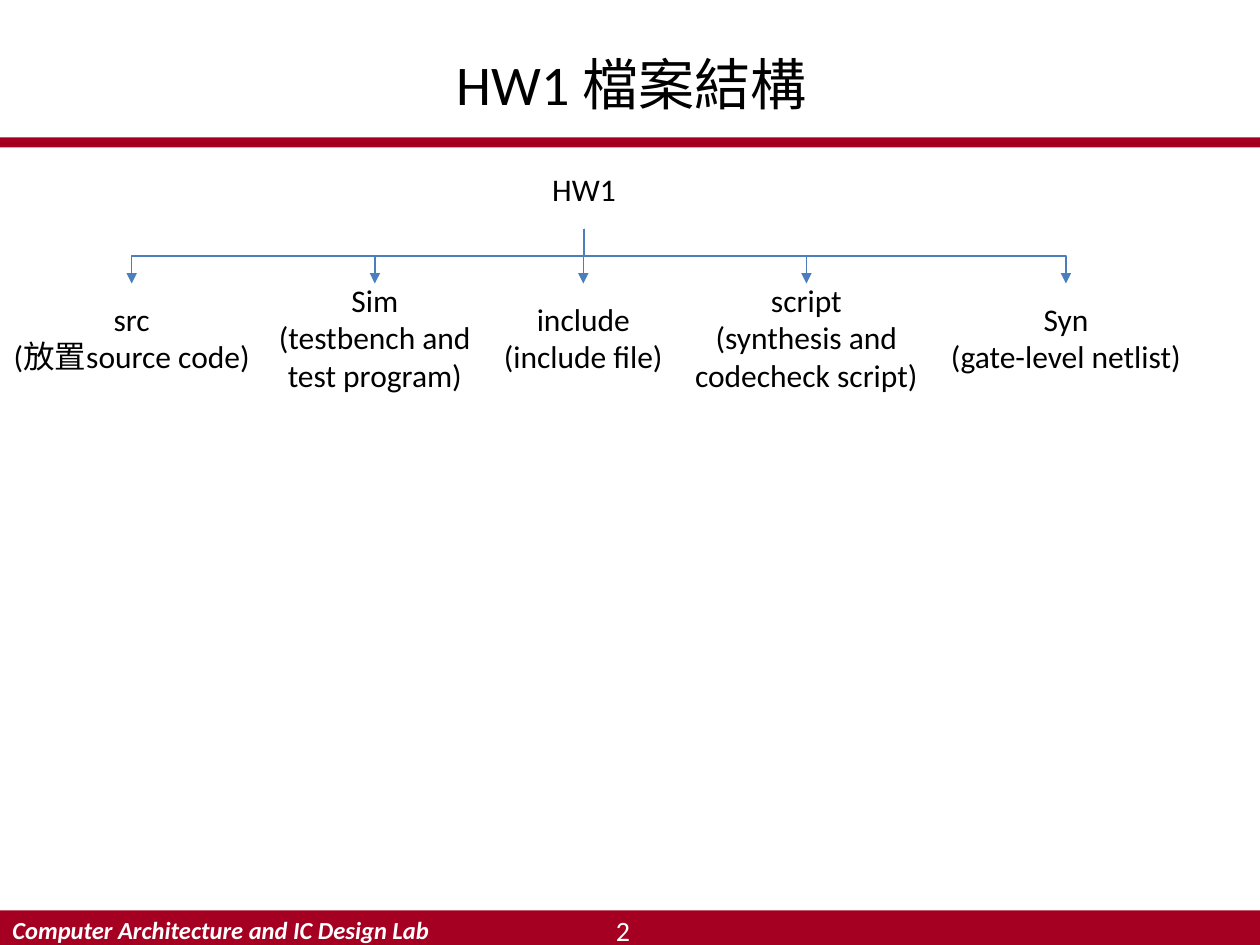
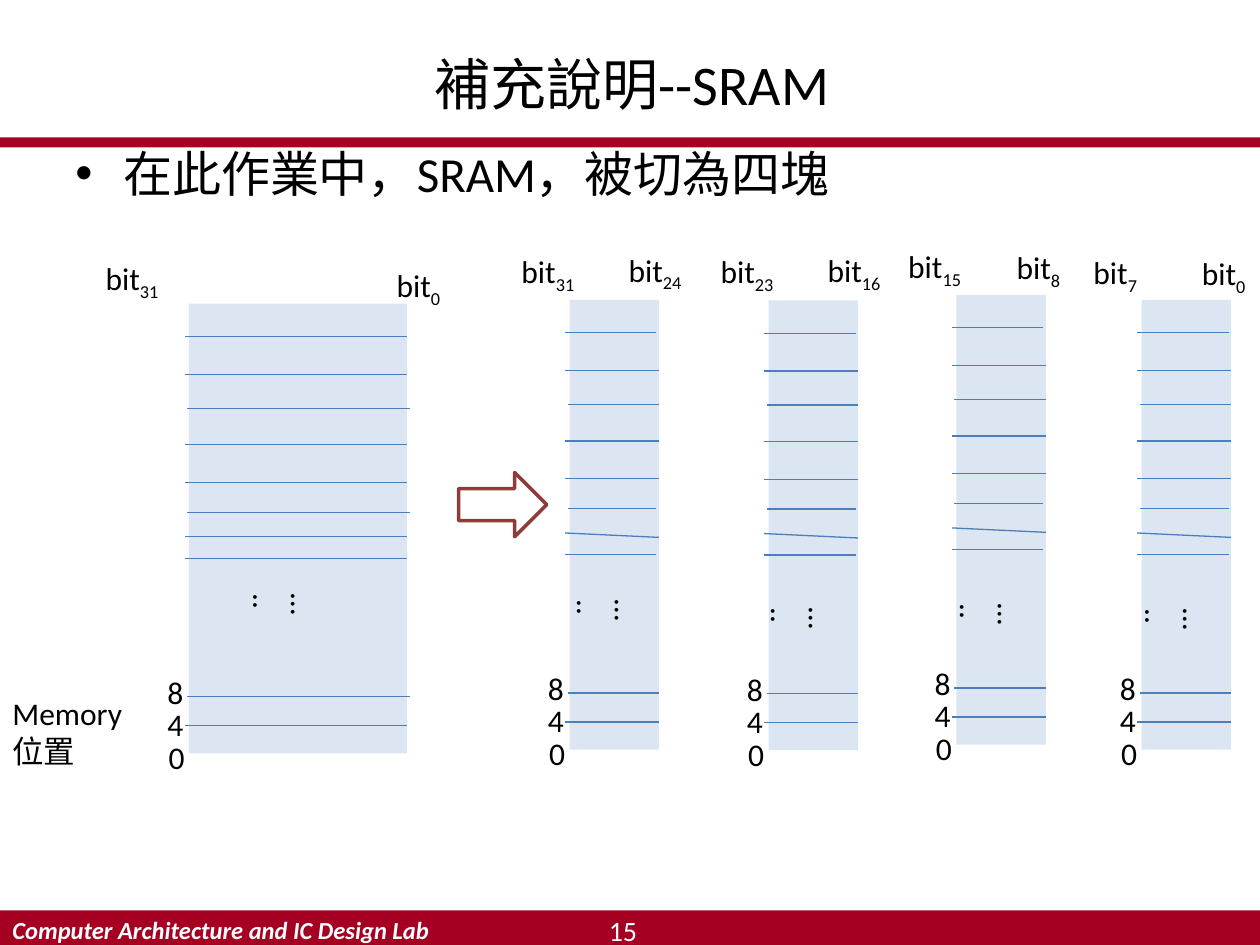
from lxml import etree
from pptx import Presentation
from pptx import util as u
from pptx.dml.color import RGBColor
from pptx.enum import shapes, text
from pptx.oxml import ns

HUES = {"red": "A50021", "white": "FFFFFF", "black": "000000",
        "blue": "4B7EBC", "pale": "DCE6F2", "brick": "8E3B39"}
FONT = "Calibri"
COLS, ROWS = 100, 75
CELL = u.Inches(0.1)
MID = text.MSO_ANCHOR.MIDDLE
TOP = text.MSO_ANCHOR.TOP
BOX = shapes.MSO_SHAPE.RECTANGLE


def grid(*cells):
    return [u.Emu(round(c * CELL)) for c in cells]


def hue(name):
    return RGBColor.from_string(HUES[name])


def node(top, tag, **attrs):
    return etree.SubElement(top, ns.qn(tag), **attrs)


def add_run(para, words, size, color="black", bold=False, base=0):
    run = para.add_run()
    run.text = words
    font = run.font
    font.name, font.size = FONT, u.Pt(size)
    font.bold = font.italic = bold
    font.color.rgb = hue(color)
    if base:
        run._r.get_or_add_rPr().set("baseline", str(base * 1000))


def fill_text(shape, lines, size, color="black", center=False, anchor=TOP,
              bold=False):
    frame = shape.text_frame
    frame.word_wrap = True
    frame.vertical_anchor = anchor
    for i, line in enumerate(lines):
        para = frame.add_paragraph() if i else frame.paragraphs[0]
        para.alignment = text.PP_ALIGN.CENTER if center else text.PP_ALIGN.LEFT
        add_run(para, line, size, color, bold)
    return frame


def add_text(slide, at, lines, size=18, **style):
    box = slide.shapes.add_textbox(*grid(*at))
    return fill_text(box, lines, size, **style)


def add_bit(slide, at, index):
    frame = add_text(slide, at, ["bit"])
    add_run(frame.paragraphs[0], index, 18, base=-25)


def add_box(slide, at, fill=None, line=None, kind=BOX):
    shape = slide.shapes.add_shape(kind, *grid(*at))
    shape.shadow.inherit = False
    if fill:
        shape.fill.solid()
        shape.fill.fore_color.rgb = hue(fill)
    else:
        shape.fill.background()
    if line:
        shape.line.color.rgb = hue(line)
        shape.line.width = u.Pt(2)
    else:
        shape.line.fill.background()
    return shape


def add_line(slide, ends, kind=shapes.MSO_CONNECTOR.STRAIGHT):
    line = slide.shapes.add_connector(kind, *grid(*ends))
    line.line.color.rgb = hue("blue")
    line.line.width = u.Pt(0.75)
    node(line._element.spPr, "a:effectLst")
    return line


def add_branch(slide, root, leaf):
    line = add_line(slide, (0, 0, 1, 1), shapes.MSO_CONNECTOR.ELBOW)
    line.begin_connect(root, 2)
    line.end_connect(leaf, 0)
    x1, y1 = root.left + root.width // 2, root.top + root.height
    x2, y2 = leaf.left + leaf.width // 2, leaf.top
    drop, span = y2 - y1, abs(x2 - x1)
    line.width, line.height = drop, span
    line.left = (x1 + x2 - drop) // 2
    line.top = (y1 + y2 - span) // 2
    left = x2 < x1
    turn = line._element.spPr.find(ns.qn("a:xfrm"))
    turn.set("rot", str((90 if left else 270) * 60000))
    turn.set("flipH", "0" if left else "1")
    turn.set("flipV", "0")
    node(line.line._get_or_add_ln(), "a:tailEnd", type="triangle")


def add_page(deck, title, number):
    slide = deck.slides.add_slide(deck.slide_layouts[6])
    add_box(slide, (0, 72.25, COLS, 2.75), "red")
    add_text(slide, (0, 72.25, 39.1, 3.1),
             ["Computer Architecture and IC Design Lab"], 14,
             color="white", bold=True, anchor=MID)
    add_box(slide, (0, 10.9, COLS, 0.8), "red")
    add_text(slide, (5, 2.3, 90.3, 8.6), [title], 32, center=True, anchor=MID)
    add_text(slide, (39.6, 72.7, 19.7, 2.3), [number], 16,
             color="white", center=True, anchor=MID)
    return slide


def add_label(slide, at, lines):
    box = add_box(slide, at, "white")
    fill_text(box, lines, 18, center=True, anchor=MID)
    return box


def add_tree(slide):
    root = add_label(slide, (41.1, 11.8, 10.5, 6.35), ["HW1"])
    folders = [
        (0, 20.9, "src", "(放置source code)"),
        (20.9, 17.7, "Sim", "(testbench and test program)"),
        (38.6, 15.4, "include", "(include file)"),
        (54.1, 19.8, "script", "(synthesis and codecheck script)"),
        (73.9, 21.4, "Syn", "(gate-level netlist)")]
    leaves = [add_label(slide, (x, 22.5, w, 8.55), lines)
              for x, w, *lines in folders]
    for leaf in leaves:
        add_branch(slide, root, leaf)


RULES = [(2.6, 0, 1), (5.6, 0, 0), (8.3, 1, 0), (11.2, 0, 0), (14.2, 0, 0),
         (16.55, 1, 1), (18.5, 0, 0), (20.2, 0, 1), (33.5, 0, 0),
         (31.2, 1, 0)]
SLANT = 18.5
MARKS = [("0", -2.6, 34), ("4", -2.7, 31.35), ("8", -2.7, 28.8)]


def add_bank(slide, x, y, wide, high, low, dots):
    width = 17.3 if wide else 7.1
    add_box(slide, (x, y, width, 35.7), "pale")
    for drop, inset, short in RULES:
        start = x - 0.35 + 0.2 * inset
        end = x + width + 0.2 * (inset if wide else -short)
        tilt = 0.35 if drop == SLANT and not wide else 0
        add_line(slide, (start, y + drop, end, y + drop + tilt))
    for mark, dx, dy in MARKS:
        add_text(slide, (x + dx, y + dy, 4.7, 4), [mark])
    for index, dx, dy in (high, low):
        add_bit(slide, (x + dx, y + dy, 9.3 if wide else 6.8, 4), index)
    frame = add_text(slide, (x + dots[0], y + dots[1], 5, 4), ["….."])
    frame._txBody.bodyPr.set("vert", "eaVert")


def add_bullet(slide, words):
    frame = add_text(slide, (5, 10.9, 90, 56.1), [words], 28)
    props = frame.paragraphs[0]._p.get_or_add_pPr()
    step = u.Inches(0.38)
    props.set("marL", str(step))
    props.set("indent", str(-step))
    node(props, "a:buFont", typeface="Arial")
    node(props, "a:buChar", char="•")


def add_banks(slide):
    add_bullet(slide, "在此作業中，SRAM，被切為四塊")
    banks = [
        (15, 24.1, True, ("31", -7.6, -4), ("0", 15.5, -3.5), (6.1, 22)),
        (45.2, 23.8, False, ("31", -4.8, -4.3), ("24", 3.7, -4.4), (1.6, 22.8)),
        (61, 23.85, False, ("23", -4.8, -4.3), ("16", 3.7, -4.4), (1.2, 23.4)),
        (75.9, 23.4, False, ("15", -4.8, -4.3), ("8", 3.8, -4.2), (1.3, 23.5)),
        (90.6, 23.8, False, ("7", -4.8, -4.2), ("0", 3.8, -4.1), (1.3, 23.5))]
    for bank in banks:
        add_bank(slide, *bank)
    add_text(slide, (0, 54.6, 12.9, 7.1), ["Memory", "位置"])
    add_box(slide, (36.4, 37.5, 7, 5.1), line="brick",
            kind=shapes.MSO_SHAPE.RIGHT_ARROW)


def main():
    deck = Presentation()
    deck.slide_width, deck.slide_height = grid(COLS, ROWS)
    add_tree(add_page(deck, "HW1 檔案結構", "2"))
    add_banks(add_page(deck, "補充說明--SRAM", "15"))
    deck.save("out.pptx")


if __name__ == "__main__":
    main()
